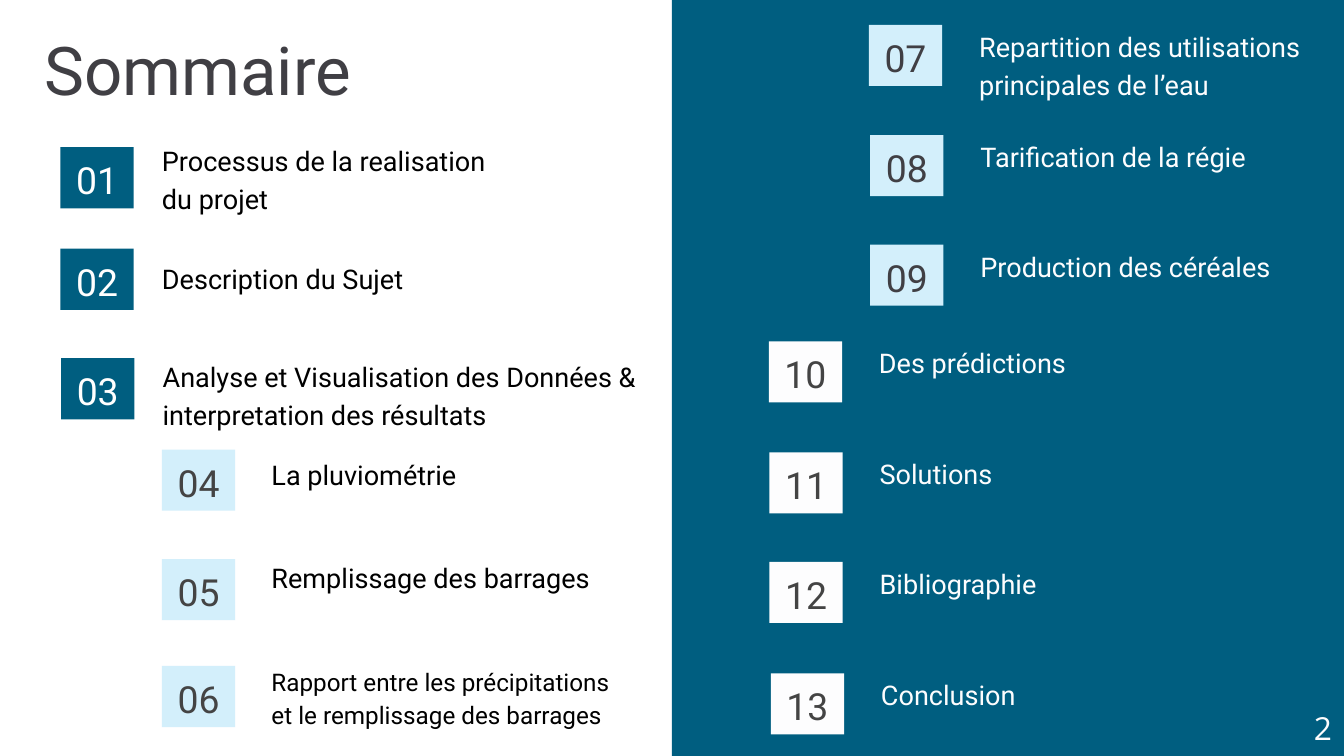
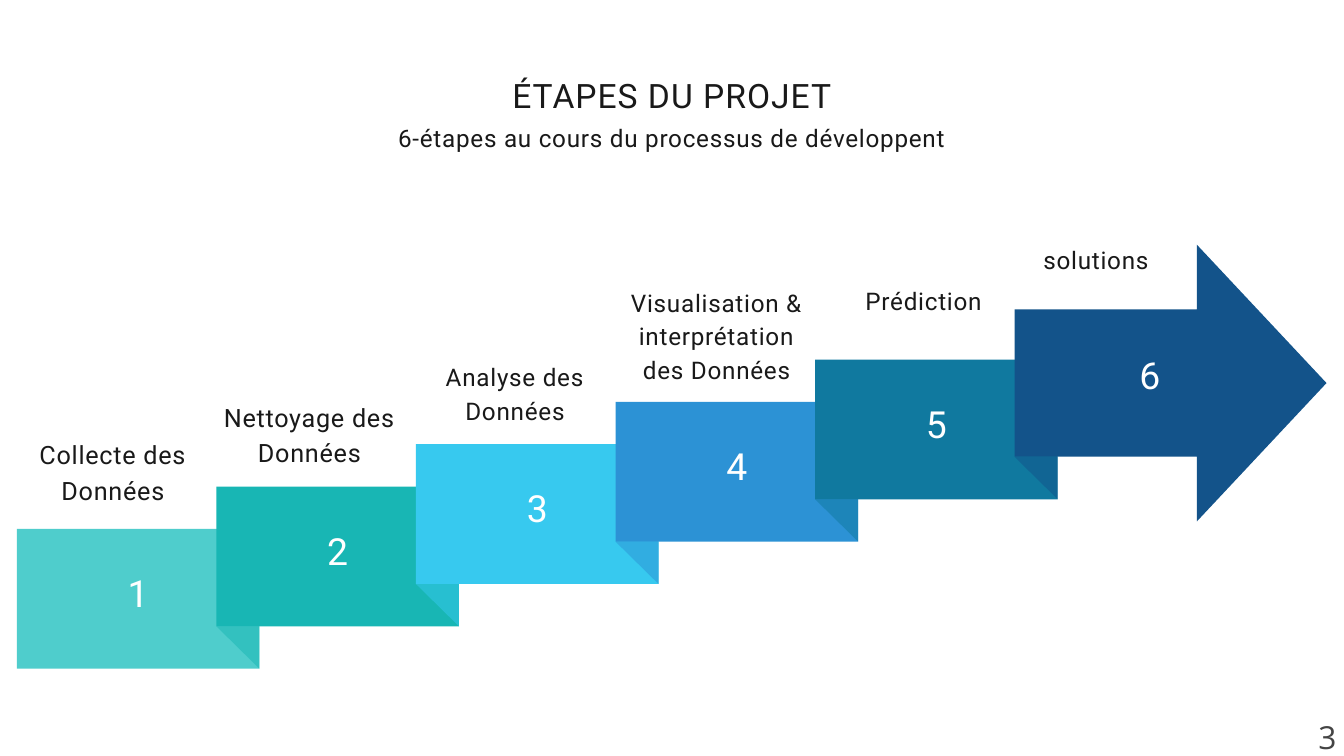
from lxml.etree import SubElement
from pptx import Presentation
from pptx.dml.color import RGBColor as Rgb
from pptx.enum.shapes import MSO_SHAPE as Kind
from pptx.enum.text import MSO_ANCHOR as Anchor, PP_ALIGN as Align
from pptx.oxml.ns import qn
from pptx.util import Inches, Pt

COLS, ROWS = 20, 11.25
INK = {
    "blue": "005E80", "pale": "D3EFFB", "snow": "FDFDFE", "white": "FFFFFF",
    "black": "000000", "coal": "191919", "gray": "444444", "slate": "403F44",
    "mint": "4FCDCC", "teal": "18B6B4", "sky": "37C9EF", "azure": "2C92D5",
    "sea": "10799F", "navy": "13538A",
}


def write(frame, text, size=29, lead=None, ink="black", font="Roboto",
          align=Align.LEFT, gap=0, anchor=Anchor.TOP, pad=(0, 0, 0, 0)):
    """Fill a text frame; gap is letter spacing in points, pad is l, t, r, b."""
    frame.word_wrap = True
    frame.vertical_anchor = anchor
    (frame.margin_left, frame.margin_top,
     frame.margin_right, frame.margin_bottom) = pad
    par = frame.paragraphs[0]
    par.alignment = align
    par.line_spacing = Pt(lead or size * 1.4)
    run = par.add_run()
    run.text = text
    run.font.size = Pt(size)
    run.font.name = font
    run.font.color.rgb = Rgb.from_string(INK[ink])
    if gap:
        run.font._element.set("spc", str(round(gap * 100)))


class Deck:
    def __init__(self):
        self.prs = Presentation()
        self.prs.slide_width = Inches(COLS)
        self.prs.slide_height = Inches(ROWS)
        self.unit = self.prs.slide_width / COLS

    def grid(self, *cells):
        return [round(c * self.unit) for c in cells]

    def start(self):
        self.slide = self.prs.slides.add_slide(self.prs.slide_layouts[6])

    def text(self, x, y, w, h, text, **fmt):
        box = self.slide.shapes.add_textbox(*self.grid(x, y, w, h))
        write(box.text_frame, text, **fmt)

    def shape(self, x, y, w, h, ink, kind=Kind.RECTANGLE):
        item = self.slide.shapes.add_shape(kind, *self.grid(x, y, w, h))
        item.shadow.inherit = False
        item.fill.solid()
        item.fill.fore_color.rgb = Rgb.from_string(INK[ink])
        item.line.fill.background()
        return item

    def badge(self, x, y, num, fill, ink):
        item = self.shape(x, y, 1.09, 0.91, fill)
        write(item.text_frame, num, size=40, ink=ink, align=Align.CENTER,
              pad=self.grid(0, 0.04, 0, 0))

    def fold(self, x, y, w, h, ink):
        """Half-clear corner where one step passes behind the next."""
        item = self.shape(x, y, w, h, ink, Kind.RIGHT_TRIANGLE)
        item.rotation = 180
        tint = item._element.spPr.find(qn("a:solidFill"))[0]
        SubElement(tint, qn("a:alpha")).set("val", "50000")

    def step(self, item, num, left, low):
        write(item.text_frame, num, size=40, ink="white", gap=2,
              align=Align.CENTER, anchor=Anchor.MIDDLE,
              pad=self.grid(left, 0, 0, low))

    def page(self, x, y, num, ink):
        self.text(x, y, 0.27, 0.63, num, size=34, ink=ink,
                  font="Open Sans", align=Align.CENTER)


# Each group: badge fill, number colour, label colour, label offset, label width,
# then its entries: badge left and top, label shift, wording, size.
GROUPS = [
    ("blue", "white", "black", 1.51, 7.15, [
        (0.9, 2.19, -0.12, "Processus de la realisation du projet", 29),
        (0.9, 3.7, 0.13, "Description du Sujet", 29),
        (0.91, 5.33, -0.05, "Analyse et Visualisation des Données & "
                            "interpretation des résultats", 29)]),
    ("pale", "gray", "black", 1.63, 5.2, [
        (2.41, 6.69, 0.05, "La pluviométrie", 29),
        (2.41, 8.32, -0.05, "Remplissage des barrages", 29),
        (2.41, 9.91, -0.06, "Rapport entre les précipitations et le "
                            "remplissage des barrages", 26)]),
    ("pale", "slate", "snow", 1.64, 5.43, [
        (12.93, 0.37, 0, "Repartition des utilisations principales de l’eau", 29),
        (12.95, 2.01, 0, "Tarification de la régie", 29),
        (12.95, 3.64, 0, "Production des céréales", 29)]),
    ("snow", "gray", "snow", 1.64, 4.66, [
        (11.44, 5.08, 0, "Des prédictions", 29),
        (11.45, 6.73, 0, "Solutions", 29),
        (11.45, 8.36, 0, "Bibliographie", 29),
        (11.47, 10.02, 0, "Conclusion", 29)]),
]

# Fill, then the label's left, top, width, size and wording.
STEPS = [
    ("mint", 0.47, 6.47, 2.42, 27, "Collecte des Données"),
    ("teal", 3.32, 5.91, 2.57, 27, "Nettoyage des Données"),
    ("sky", 6.5, 5.32, 2.33, 26, "Analyse des Données"),
    ("azure", 9.18, 4.21, 2.97, 26, "Visualisation & interprétation des Données"),
    ("sea", 12.78, 4.19, 1.93, 26, "Prédiction"),
    ("navy", 15.11, 3.58, 2.4, 26, "solutions"),
]


def contents(deck):
    deck.start()
    deck.shape(COLS / 2, 0, COLS / 2, ROWS, "blue")
    deck.text(0.66, 0.22, 6.97, 1.35, "Sommaire", size=72, ink="slate")
    num = 0
    for fill, ink, tone, shift, wide, rows in GROUPS:
        for x, y, drop, label, size in rows:
            num += 1
            deck.badge(x, y, f"{num:02}", fill, ink)
            span = 5.03 if num == 1 else wide
            lines = 2 if len(label) > 30 else 1
            deck.text(x + shift, y + drop, span, 0.55 * lines, label,
                      size=size, ink=tone)
    deck.page(19.55, 10.45, "2", "snow")


def stairs(deck):
    wide, high, run, rise = 3.61, 2.08, 2.97, 0.63
    head = dict(ink="coal", align=Align.CENTER)
    deck.start()
    deck.text(3.88, 1.06, 12.24, 0.63, "ÉTAPES DU PROJET",
              size=36, lead=47.1, gap=1.1, **head)
    deck.text(3.88, 1.76, 12.24, 0.97,
              "6-étapes au cours du processus de développent",
              size=26, gap=0.8, **head)
    last = len(STEPS) - 1
    for i, (ink, left, top, span, size, label) in enumerate(STEPS):
        x, y = 0.25 + i * run, 7.87 - i * rise
        if i < last:
            card = deck.shape(x, y, wide, high, ink)
            deck.step(card, str(i + 1), 0, 0.3)
            deck.fold(x + run, y + high - rise, wide - run, rise,
                      STEPS[i + 1][0])
        else:
            arrow = deck.shape(x, 3.64, 4.64, 4.12, ink, Kind.RIGHT_ARROW)
            arrow.adjustments[0] = 2.19 / 4.12
            arrow.adjustments[1] = 1.93 / 4.12
            deck.step(arrow, str(i + 1), 0.41, 0.36)
        lines = 3 if len(label) > 30 else 2 if " " in label else 1
        deck.text(left, top, span, 0.5 * lines, label, size=size, gap=0.8, **head)
    deck.page(19.62, 10.58, "3", "gray")


def main():
    deck = Deck()
    contents(deck)
    stairs(deck)
    deck.prs.save("out.pptx")


if __name__ == "__main__":
    main()
